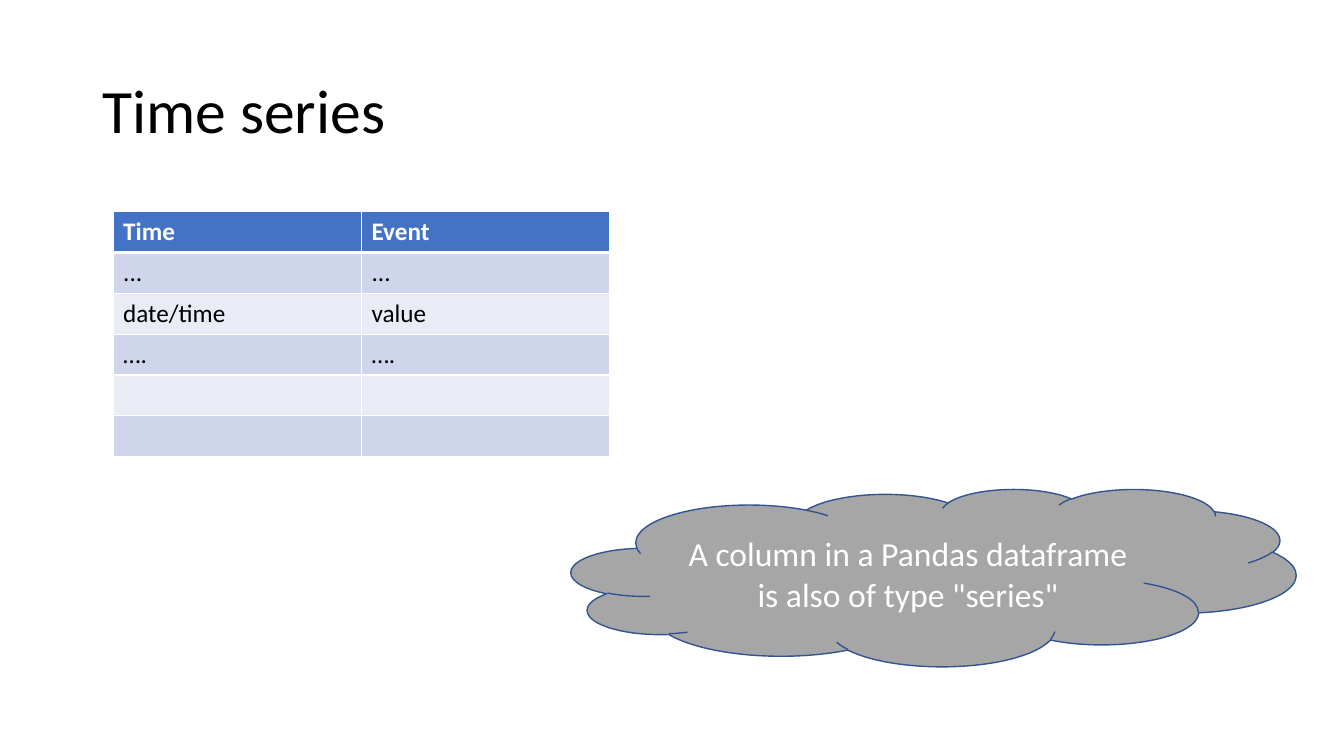
from lxml import etree
from pptx import Presentation
from pptx.dml.color import RGBColor
from pptx.enum import shapes, text
from pptx.oxml import ns
from pptx.util import Cm, Pt

TITLE = "Time series"
ROWS = [
    ("Time", "Event"),
    ("...", "..."),
    ("date/time", "value"),
    ("….", "…."),
    ("", ""),
    ("", ""),
]
REMARK = 'A column in a Pandas dataframe is also of type "series"'
FONT = "Calibri"
WHITE, BLACK = "FFFFFF", "000000"
HEADER_FILL, BAND_FILLS = "4472C4", ("E9EBF5", "CFD5EA")
CLOUD_FILL, CLOUD_LINE = "A6A6A6", "325491"


def colour(value):
    return RGBColor.from_string(value)


def format_paragraph(paragraph, size, value, align, bold=False):
    paragraph.alignment = align
    font = paragraph.font
    font.name, font.size, font.bold = FONT, Pt(size), bold
    font.color.rgb = colour(value)


def add_borders(cell, widths):
    properties = cell._tc.get_or_add_tcPr()
    for side, width in zip("LRTB", widths):
        line = etree.SubElement(properties, ns.qn(f"a:ln{side}"), w=str(Pt(width)))
        fill = etree.SubElement(line, ns.qn("a:solidFill"))
        etree.SubElement(fill, ns.qn("a:srgbClr"), val=WHITE)


def add_title(slide):
    title = slide.shapes.title
    title.left, title.top, title.width, title.height = Cm(2.33), Cm(1.01), Cm(29.21), Cm(3.68)
    title.text_frame.text = TITLE
    title.text_frame.vertical_anchor = text.MSO_ANCHOR.MIDDLE
    paragraph = title.text_frame.paragraphs[0]
    paragraph.line_spacing = 0.9
    format_paragraph(paragraph, 44, BLACK, text.PP_ALIGN.LEFT)


def add_series_table(slide):
    table = slide.shapes.add_table(
        len(ROWS), len(ROWS[0]), Cm(2.85), Cm(5.33), Cm(12.52), Cm(6.18)
    ).table
    for row, values in enumerate(ROWS):
        header = row == 0
        for column, value in enumerate(values):
            cell = table.cell(row, column)
            add_borders(cell, (1, 1, 3 if row == 1 else 1, 3 if header else 1))
            cell.fill.solid()
            cell.fill.fore_color.rgb = colour(HEADER_FILL if header else BAND_FILLS[row % 2])
            cell.text = value
            format_paragraph(cell.text_frame.paragraphs[0], 18,
                             WHITE if header else BLACK, text.PP_ALIGN.LEFT, header)


def add_cloud(slide):
    cloud = slide.shapes.add_shape(
        shapes.MSO_SHAPE.CLOUD, Cm(14.4), Cm(12.32), Cm(18.26), Cm(4.47))
    cloud.shadow.inherit = False
    cloud.fill.solid()
    cloud.fill.fore_color.rgb = colour(CLOUD_FILL)
    cloud.line.color.rgb = colour(CLOUD_LINE)
    cloud.line.width = Pt(1)
    frame = cloud.text_frame
    frame.word_wrap = True
    frame.vertical_anchor = text.MSO_ANCHOR.MIDDLE
    frame.text = REMARK
    format_paragraph(frame.paragraphs[0], 24, WHITE, text.PP_ALIGN.CENTER)


def main():
    presentation = Presentation()
    presentation.slide_width, presentation.slide_height = Cm(33.87), Cm(19.05)
    slide = presentation.slides.add_slide(presentation.slide_layouts[5])
    add_title(slide)
    add_series_table(slide)
    add_cloud(slide)
    presentation.save("out.pptx")


if __name__ == "__main__":
    main()
